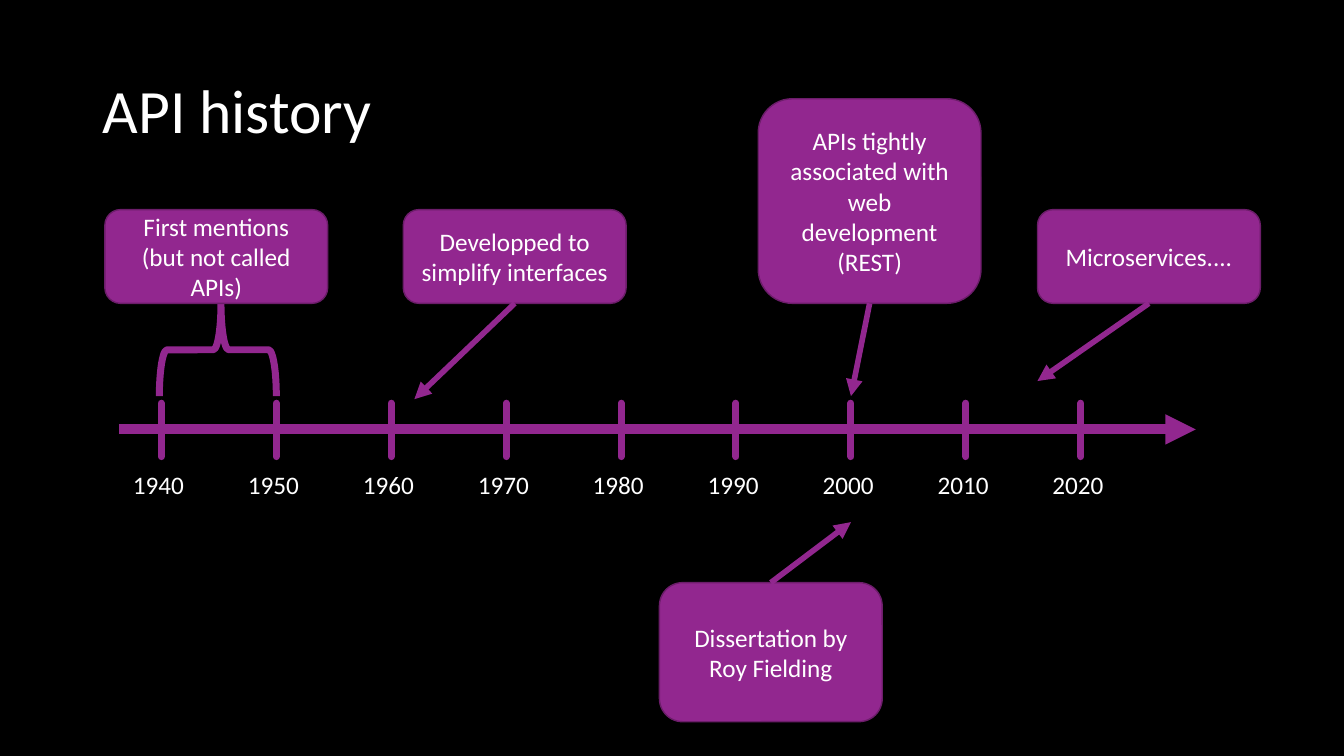
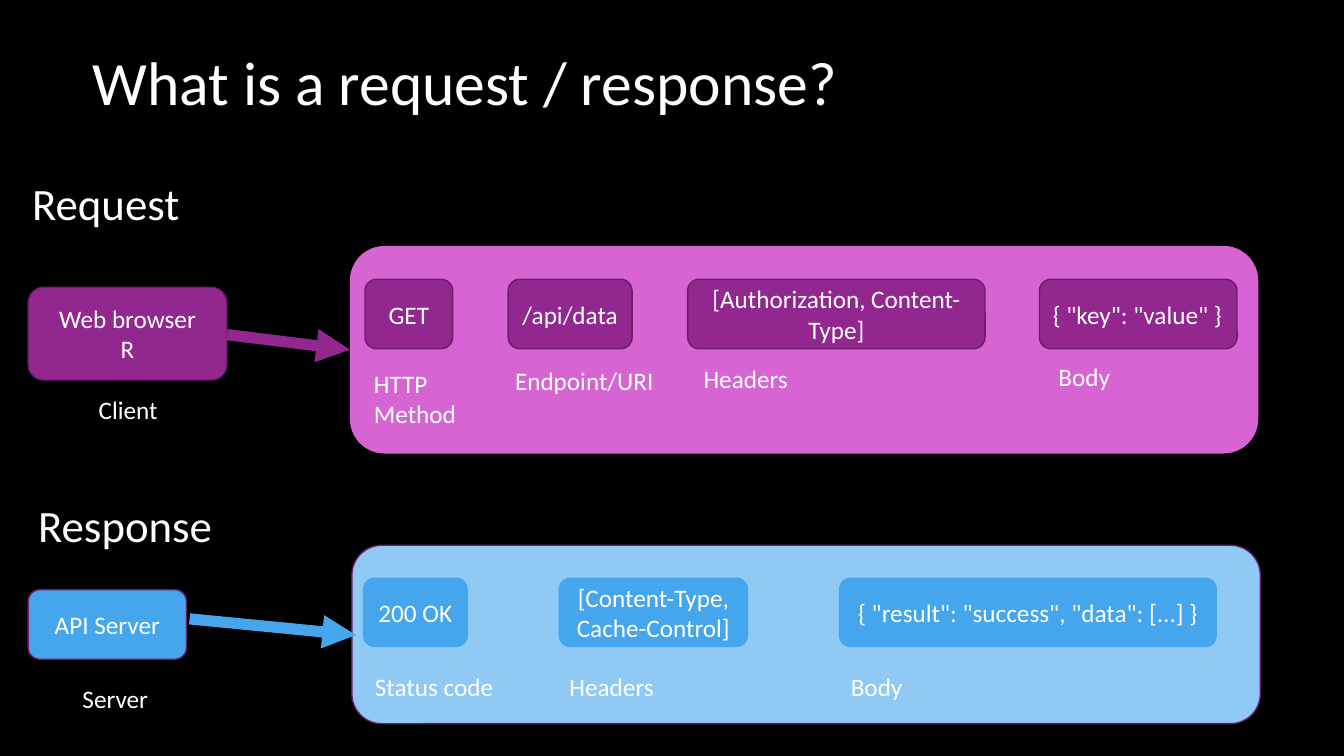
from lxml.etree import SubElement
from pptx import Presentation
from pptx.dml.color import RGBColor
from pptx.enum.shapes import MSO_CONNECTOR, MSO_SHAPE
from pptx.enum.text import MSO_ANCHOR, PP_ALIGN
from pptx.oxml.ns import qn
from pptx.util import Inches, Pt

COLORS = {
    "background": "000000",
    "text": "FFFFFF",
    "purple": "92278F",
    "edge": "6C1D6A",
    "pink": "D665D3",
    "blue": "45A5ED",
    "pale_blue": "8FC9F4",
}
FONT = "Calibri"


def color(name):
    return RGBColor.from_string(COLORS[name])


def set_text(sp, text, size=18, align=PP_ALIGN.LEFT, anchor=MSO_ANCHOR.TOP, spacing=None):
    tf = sp.text_frame
    tf.word_wrap = True
    tf.vertical_anchor = anchor
    tf.text = text
    for p in tf.paragraphs:
        p.alignment = align
        p.line_spacing = spacing
        for r in p.runs:
            r.font.size = Pt(size)
            r.font.name = FONT
            r.font.color.rgb = color("text")


def add_label(s, x, y, w, h, text, **style):
    sp = s.shapes.add_textbox(Inches(x), Inches(y), Inches(w), Inches(h))
    set_text(sp, text, **style)


def add_box(s, x, y, w, h, text="", fill="purple", edge="edge", align=PP_ALIGN.CENTER):
    sp = s.shapes.add_shape(MSO_SHAPE.ROUNDED_RECTANGLE,
                            Inches(x), Inches(y), Inches(w), Inches(h))
    sp.shadow.inherit = False
    sp.fill.solid()
    sp.fill.fore_color.rgb = color(fill)
    if edge:
        sp.line.color.rgb = color(edge)
        sp.line.width = Pt(1)
    else:
        sp.line.fill.background()
    if text:
        set_text(sp, text, align=align, anchor=MSO_ANCHOR.MIDDLE)


def add_line(s, x1, y1, x2, y2, width, line="purple", arrow=True):
    """Draw an arrow, or a plain line with round ends."""
    cn = s.shapes.add_connector(MSO_CONNECTOR.STRAIGHT, Inches(x1), Inches(y1),
                                Inches(x2), Inches(y2))
    cn.line.color.rgb = color(line)
    cn.line.width = Pt(width)
    ln = cn.line._get_or_add_ln()
    if arrow:
        SubElement(ln, qn("a:tailEnd"), type="triangle")
    else:
        ln.set("cap", "rnd")
    SubElement(cn._element.spPr, qn("a:effectLst"))


def new_slide(prs, title, x, y):
    s = prs.slides.add_slide(prs.slide_layouts[6])
    s.background.fill.solid()
    s.background.fill.fore_color.rgb = color("background")
    add_label(s, x, y, 11.5, 1.45, title, size=44, anchor=MSO_ANCHOR.MIDDLE, spacing=0.9)
    return s


def add_timeline(s, x, y, w, first, count, step=1.14):
    """Axis from (x, y) with one tick and label per decade."""
    add_line(s, x, y, x + w, y, 7.25)
    for i in range(count):
        tick = x + 0.42 + i * step
        add_label(s, tick - 0.38, y + 0.35, 1.58, 0.4, str(first + 10 * i))
        add_line(s, tick, y - 0.26, tick, y + 0.27, 5, arrow=False)


def add_event(s, x, y, h, text, target=None, above=True):
    """Event box with an optional arrow from its middle to the target."""
    w = 2.21
    add_box(s, x, y, w, h, text)
    if target:
        add_line(s, x + w / 2, y + h if above else y, *target, 4)


def add_brace(s, x, y, w, h):
    """Brace over the box, a left brace turned a quarter."""
    sp = s.shapes.add_shape(MSO_SHAPE.LEFT_BRACE, Inches(x + (w - h) / 2),
                            Inches(y + (h - w) / 2), Inches(h), Inches(w))
    sp.rotation = 90
    sp.adjustments[0] = 0.083
    sp.adjustments[1] = 0.473
    sp.shadow.inherit = False
    sp.fill.background()
    sp.line.color.rgb = color("purple")
    sp.line.width = Pt(5)


def add_message(s, x, y, w, h, panel, panel_edge, field, field_edge, field_y, parts):
    """Message panel; parts are (dx, width, text, caption, caption dx, caption dy)."""
    add_box(s, x, y, w, h, fill=panel, edge=panel_edge)
    for dx, part_w, text, caption, cap_dx, cap_dy in parts:
        align = PP_ALIGN.LEFT if text.startswith('{ "key"') else PP_ALIGN.CENTER
        add_box(s, x + dx, y + field_y, part_w, 0.69, text, field, field_edge, align)
        add_label(s, x + cap_dx, y + cap_dy, 1.6, 0.4, caption)


def build_history(prs):
    s = new_slide(prs, "API history", 0.92, 0.4)
    add_timeline(s, 1.18, 4.26, 10.68, 1940, 9)
    add_brace(s, 1.58, 3.01, 1.16, 0.92)

    # Events
    add_event(s, 1.04, 2.08, 0.93, "First mentions (but not called APIs)")
    add_event(s, 4, 2.08, 0.93, "Developped to simplify interfaces", (4.11, 3.96))
    add_event(s, 7.52, 0.98, 2.03,
              "APIs tightly associated with web development (REST)", (8.44, 3.93))
    add_event(s, 10.29, 2.08, 0.93, "Microservices....", (10.29, 3.78))
    add_event(s, 6.54, 5.78, 1.38, "Dissertation by Roy Fielding", (8.44, 5.18), above=False)


def build_messages(prs):
    s = new_slide(prs, "What is a request / response?", 0.82, 0.12)

    # Request
    add_label(s, 0.22, 1.69, 3.02, 0.64, "Request", size=32)
    add_box(s, 0.28, 2.85, 1.97, 0.92, "Web browser\nR")
    add_label(s, 0.88, 3.86, 0.82, 0.4, "Client")
    add_message(s, 3.47, 2.44, 9.01, 2.06, "pink", None, "purple", "edge", 0.33, [
        (0.15, 0.87, "GET", "HTTP\nMethod", 0.14, 1.16),
        (1.57, 1.23, "/api/data", "Endpoint/URI", 1.54, 1.14),
        (3.35, 2.95, "[Authorization, Content-Type]", "Headers", 3.41, 1.12),
        (6.84, 1.96, '{ "key": "value" }', "Body", 6.93, 1.1),
    ])
    add_line(s, 2.25, 3.32, 3.47, 3.47, 8)

    # Response
    add_label(s, 0.28, 4.89, 3.02, 0.64, "Response", size=32)
    add_box(s, 0.28, 5.85, 1.57, 0.69, "API Server", "blue")
    add_label(s, 0.72, 6.73, 1.14, 0.4, "Server")
    add_message(s, 3.49, 5.41, 9.01, 1.77, "pale_blue", "edge", "blue", None, 0.32, [
        (0.11, 1.04, "200 OK", "Status code", 0.13, 1.2),
        (2.05, 1.88, "[Content-Type, Cache-Control]", "Headers", 2.06, 1.2),
        (4.83, 3.75, '{ "result": "success", "data": [...] }', "Body", 4.85, 1.2),
    ])
    add_line(s, 1.88, 6.14, 3.53, 6.3, 8, "blue")


def main():
    prs = Presentation()
    prs.slide_width = Inches(13.33)
    prs.slide_height = Inches(7.5)
    build_history(prs)
    build_messages(prs)
    prs.save("out.pptx")


if __name__ == "__main__":
    main()
